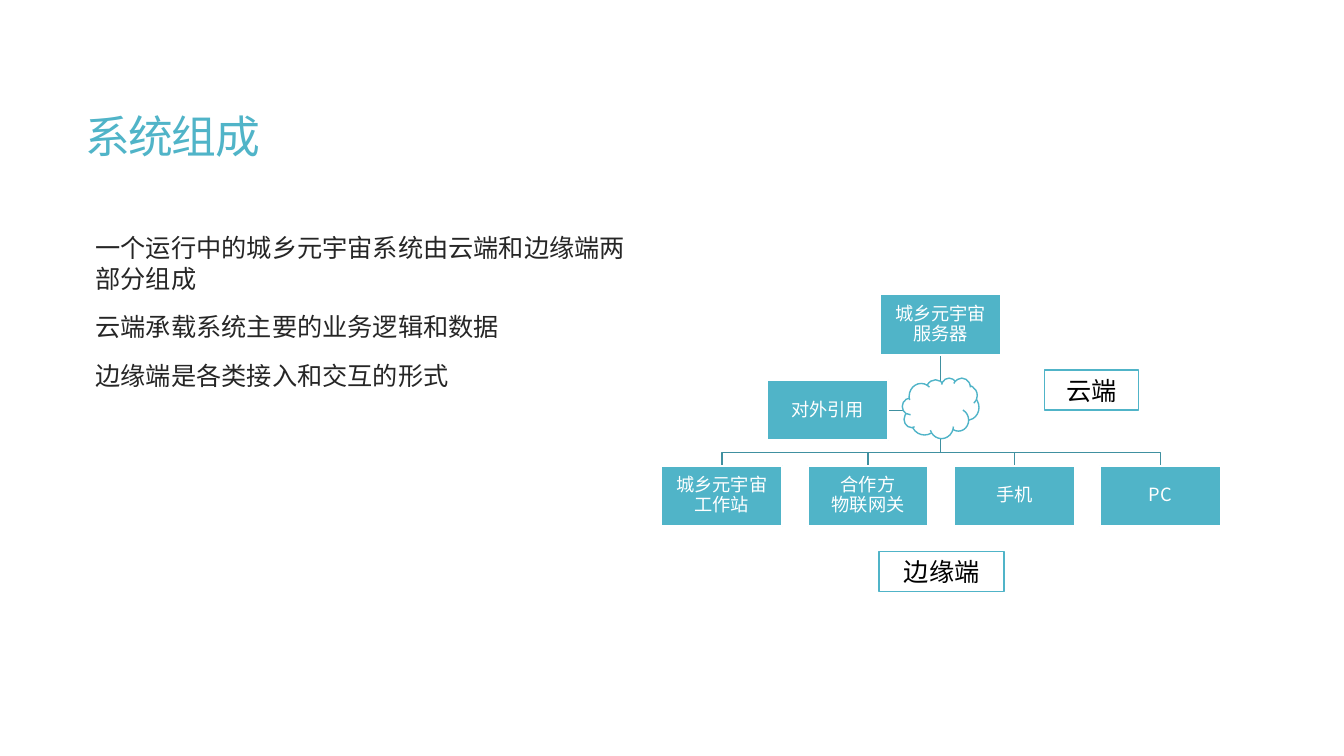
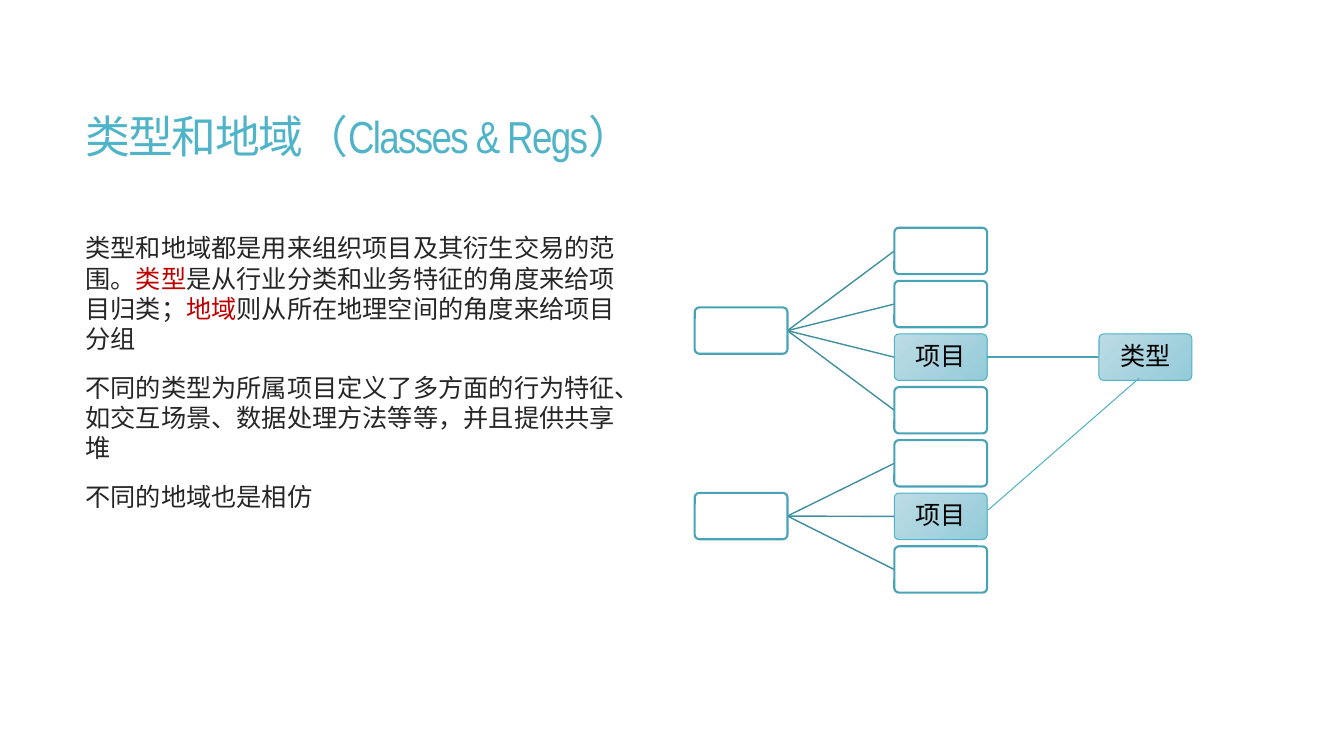
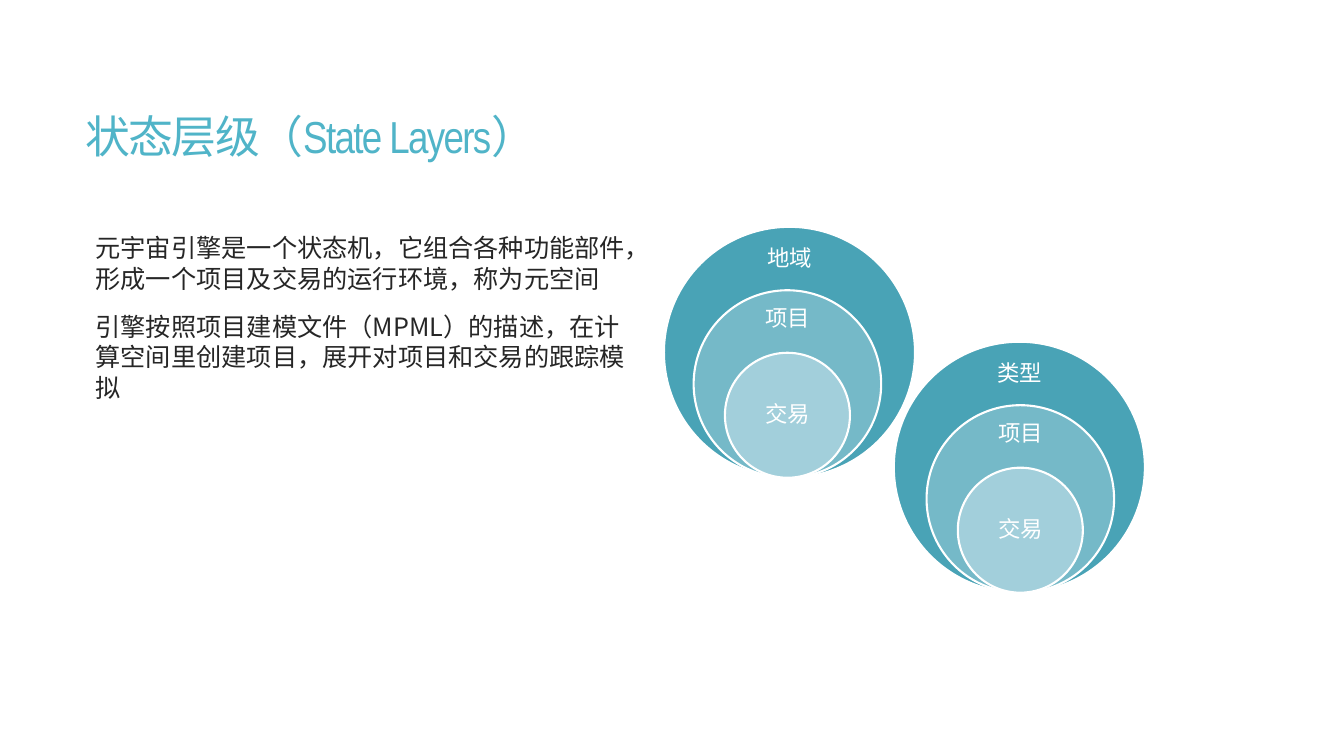
from dataclasses import dataclass
from typing import NamedTuple, Optional

from lxml.etree import SubElement
from pptx import Presentation
from pptx.dml.color import RGBColor
from pptx.enum.shapes import MSO_CONNECTOR, MSO_SHAPE
from pptx.enum.text import MSO_ANCHOR, PP_ALIGN
from pptx.oxml.ns import qn
from pptx.util import Inches, Pt

# Shared style
FONT = "Noto Sans CJK SC"
LATIN_TITLE_FONT = "Arial Narrow"
COLORS = {
    "accent": "50B4C8",
    "accent_dark": "49A3B6",
    "accent_mid": "75B9C8",
    "accent_light": "A2CFDB",
    "connector": "4090A0",
    "gradient_start": "BDDCE5",
    "gradient_end": "94CBD9",
    "text": "262626",
    "highlight": "C00000",
    "black": "000000",
    "white": "FFFFFF",
}


class Box(NamedTuple):
    left: float
    top: float
    width: float
    height: float

    @property
    def right(self) -> float:
        return self.left + self.width

    @property
    def center_x(self) -> float:
        return self.left + self.width / 2

    @property
    def center_y(self) -> float:
        return self.top + self.height / 2

    def inches(self) -> list:
        return [Inches(length) for length in self]


class Span(NamedTuple):
    text: str
    color: Optional[str] = None
    font: Optional[str] = None


@dataclass
class Label:
    text: str
    size: float
    color: str = "white"
    spacing: float = 0.9


@dataclass
class Style:
    fill: str
    line: str
    line_width: float


TITLE_BOX = Box(0.75, 0.75, 11.37, 1.27)
BODY_BOX = Box(0.75, 2.26, 5.57, 3.62)
SOLID = Style("accent", "white", 1.5)
OUTLINE = Style("white", "accent", 1)
EMPTY_ITEM = Style("white", "accent_dark", 1.5)
NAMED_ITEM = Style("gradient", "accent", 0.75)


def rgb(name: str) -> RGBColor:
    return RGBColor.from_string(COLORS[name])


# Text
def style_paragraph(paragraph, size: float, color: str, spacing: float,
                    tracking: int = 0, indent: float = 0) -> None:
    font = paragraph.font
    font.size, font.name = Pt(size), FONT
    font.color.rgb = rgb(color)
    paragraph.line_spacing = spacing
    properties = paragraph._p.get_or_add_pPr()
    if indent:
        properties.set("marL", str(Inches(indent)))
    defaults = properties.find(qn("a:defRPr"))
    SubElement(defaults, qn("a:ea")).set("typeface", FONT)
    if tracking:
        defaults.set("spc", str(tracking))


def add_spans(paragraph, spans: list[Span]) -> None:
    for span in spans:
        run = paragraph.add_run()
        run.text = span.text
        if span.color:
            run.font.color.rgb = rgb(span.color)
        if span.font:
            run.font.name = span.font


def write_label(shape, label: Label) -> None:
    frame = shape.text_frame
    frame.word_wrap = True
    frame.vertical_anchor = MSO_ANCHOR.MIDDLE
    frame.margin_left = frame.margin_right = Inches(0.01)
    frame.margin_top = frame.margin_bottom = Inches(0.01)
    paragraph = frame.paragraphs[0]
    paragraph.text = label.text
    paragraph.alignment = PP_ALIGN.CENTER
    style_paragraph(paragraph, label.size, label.color, label.spacing)


def add_text_slide(presentation, title: list[Span], body: list[list[Span]],
                   indent: float = 0):
    slide = presentation.slides.add_slide(presentation.slide_layouts[6])
    title_frame = slide.shapes.add_textbox(*TITLE_BOX.inches()).text_frame
    title_frame.word_wrap = True
    title_frame.vertical_anchor = MSO_ANCHOR.MIDDLE
    add_spans(title_frame.paragraphs[0], title)
    style_paragraph(title_frame.paragraphs[0], 32, "accent", 0.85, tracking=-120)

    body_frame = slide.shapes.add_textbox(*BODY_BOX.inches()).text_frame
    body_frame.word_wrap = True
    for index, spans in enumerate(body):
        paragraph = body_frame.add_paragraph() if index else body_frame.paragraphs[0]
        add_spans(paragraph, spans)
        style_paragraph(paragraph, 18, "text", 1.0, indent=indent)
        if index:
            paragraph.space_before = Pt(13)
    return slide


# Shapes and lines
def add_shape(slide, kind: MSO_SHAPE, box: Box, style: Style,
              label: Optional[Label] = None):
    shape = slide.shapes.add_shape(kind, *box.inches())
    shape.shadow.inherit = False
    if style.fill == "gradient":
        shape.fill.gradient()
        shape.fill.gradient_angle = 315
        for stop, color in zip(shape.fill.gradient_stops,
                               ("gradient_start", "gradient_end")):
            stop.color.rgb = rgb(color)
    else:
        shape.fill.solid()
        shape.fill.fore_color.rgb = rgb(style.fill)
    shape.line.color.rgb = rgb(style.line)
    shape.line.width = Pt(style.line_width)
    if label:
        write_label(shape, label)
    return shape


def add_line(slide, start: tuple[float, float], end: tuple[float, float],
             color: str, width: float = 1) -> None:
    points = [Inches(length) for length in (*start, *end)]
    connector = slide.shapes.add_connector(MSO_CONNECTOR.STRAIGHT, *points)
    connector.line.color.rgb = rgb(color)
    connector.line.width = Pt(width)
    SubElement(connector._element.spPr, qn("a:effectLst"))


def add_bent_line(slide, points: list[tuple[float, float]]) -> None:
    start, *others = [(Inches(x), Inches(y)) for x, y in points]
    builder = slide.shapes.build_freeform(*start)
    builder.add_line_segments(others, close=False)
    shape = builder.convert_to_shape()
    shape.shadow.inherit = False
    shape.fill.background()
    shape.line.color.rgb = rgb("connector")
    shape.line.width = Pt(1)


def add_round_item(slide, box: Box, name: str = "") -> None:
    style = NAMED_ITEM if name else EMPTY_ITEM
    label = Label(name, 18, "black") if name else None
    item = add_shape(slide, MSO_SHAPE.ROUNDED_RECTANGLE, box, style, label)
    item.adjustments[0] = 0.1


# Slide 1: system components
def build_components(presentation) -> None:
    slide = add_text_slide(
        presentation,
        [Span("系统组成")],
        [[Span("一个运行中的城乡元宇宙系统由云端和边缘端两部分组成")],
         [Span("云端承载系统主要的业务逻辑和数据")],
         [Span("边缘端是各类接入和交互的形式")]],
        indent=0.1,
    )
    node_width, node_height = 1.2, 0.6
    server = Box(8.73, 2.92, node_width, node_height)
    reference = Box(7.61, 3.77, node_width, node_height)
    edge_names = ["城乡元宇宙\v工作站", "合作方\v物联网关", "手机", "PC"]
    edges = [Box(6.56 + 1.45 * column, 4.62, node_width, node_height)
             for column in range(len(edge_names))]

    hub = (server.center_x, server.top + node_height)
    add_bent_line(slide, [hub, (hub[0], reference.center_y),
                          (reference.right, reference.center_y)])
    for edge in edges:
        add_bent_line(slide, [hub, (hub[0], 4.49), (edge.center_x, 4.49),
                              (edge.center_x, edge.top)])

    names = ["城乡元宇宙\v服务器", "对外引用", *edge_names]
    for box, name in zip([server, reference, *edges], names):
        add_shape(slide, MSO_SHAPE.RECTANGLE, box, SOLID, Label(name, 13))

    add_shape(slide, MSO_SHAPE.CLOUD, Box(8.95, 3.75, 0.76, 0.6), OUTLINE)
    for name, box in (("边缘端", Box(8.72, 5.47, 1.24, 0.4)),
                      ("云端", Box(10.36, 3.67, 0.93, 0.4))):
        add_shape(slide, MSO_SHAPE.RECTANGLE, box, OUTLINE,
                  Label(name, 18, "black", spacing=1.0))


# Slide 2: classes and regions
def build_classes(presentation) -> None:
    slide = add_text_slide(
        presentation,
        [Span("类型和地域"), Span("（Classes & Regs）", font=LATIN_TITLE_FONT)],
        [[Span("类型和地域都是用来组织项目及其衍生交易的范围。"),
          Span("类型", "highlight"),
          Span("是从行业分类和业务特征的角度来给项目归类；"),
          Span("地域", "highlight"),
          Span("则从所在地理空间的角度来给项目分组")],
         [Span("不同的类型为所属项目定义了多方面的行为特征、"
               "如交互场景、数据处理方法等等，并且提供共享堆")],
         [Span("不同的地域也是相仿")]],
    )
    item_width, item_height = 0.92, 0.46
    row_pitch = (5.42 - 2.26) / 6
    children = [Box(8.87, 2.26 + row_pitch * row, item_width, item_height)
                for row in range(7)]
    project_rows = (2, 5)
    class_box = Box(10.9, children[2].top, item_width, item_height)

    for parent_top, branch in ((3.05, children[:4]), (4.89, children[4:])):
        parent = Box(6.89, parent_top, item_width, item_height)
        for child in branch:
            add_line(slide, (parent.right, parent.center_y),
                     (child.left, child.center_y), "connector")
        add_round_item(slide, parent)
    for row, child in enumerate(children):
        add_round_item(slide, child, "项目" if row in project_rows else "")

    add_line(slide, (children[2].right, class_box.center_y),
             (class_box.left, class_box.center_y), "accent_dark")
    add_round_item(slide, class_box, "类型")
    add_line(slide, (11.3, 3.75), (9.8, 5.06), "accent", 0.75)


# Slide 3: state layers
class Layer(NamedTuple):
    diameter: float
    fill: str
    label_offset: float


LAYERS = [
    Layer(2.49, "accent_dark", 0.32),
    Layer(1.86, "accent_mid", 0.29),
    Layer(1.24, "accent_light", 0.62),
]


def add_layer_stack(slide, names: list[str], centers: list[float],
                    bottom: float) -> None:
    for layer, name, center in zip(LAYERS, names, centers):
        top = bottom - layer.diameter
        circle = Box(center - layer.diameter / 2, top, layer.diameter, layer.diameter)
        add_shape(slide, MSO_SHAPE.OVAL, circle, Style(layer.fill, "white", 1.5))
        label_box = Box(center - 0.44, top + layer.label_offset - 0.18, 0.88, 0.36)
        text_box = slide.shapes.add_textbox(*label_box.inches())
        write_label(text_box, Label(name, 16))


def build_layers(presentation) -> None:
    slide = add_text_slide(
        presentation,
        [Span("状态层级（"), Span("State Layers", font=LATIN_TITLE_FONT), Span("）")],
        [[Span("元宇宙引擎是一个状态机，它组合各种功能部件，"
               "形成一个项目及交易的运行环境，称为元空间")],
         [Span("引擎按照项目建模文件（MPML）的描述，在计算空间里创建项目，"
               "展开对项目和交易的跟踪模拟")]],
        indent=0.1,
    )
    add_layer_stack(slide, ["地域", "项目", "交易"], [7.83, 7.81, 7.81], 4.74)
    add_layer_stack(slide, ["类型", "项目", "交易"], [10.11, 10.12, 10.12], 5.88)


presentation = Presentation()
presentation.slide_width = Inches(13.33)
presentation.slide_height = Inches(7.5)
build_components(presentation)
build_classes(presentation)
build_layers(presentation)
presentation.save("out.pptx")
